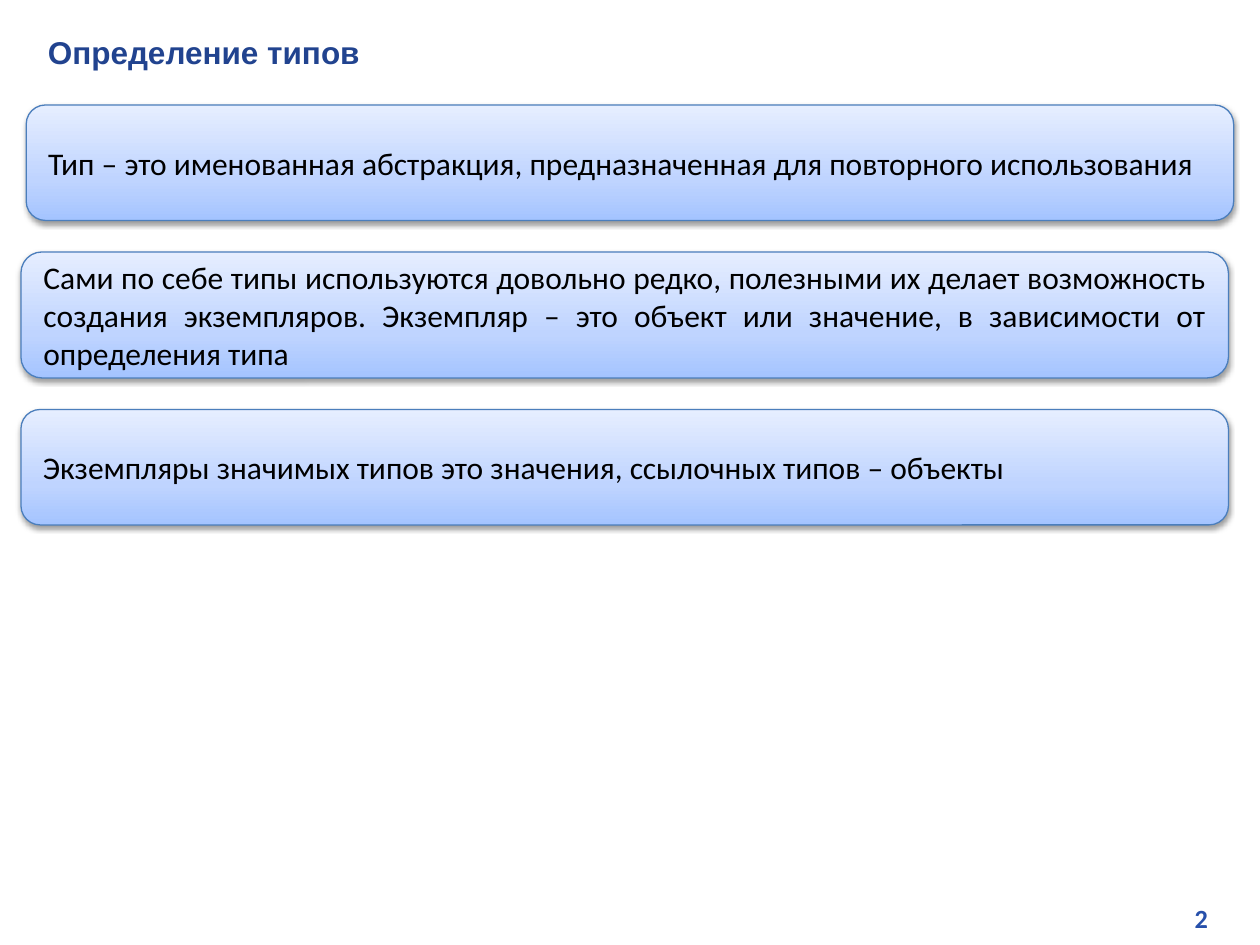
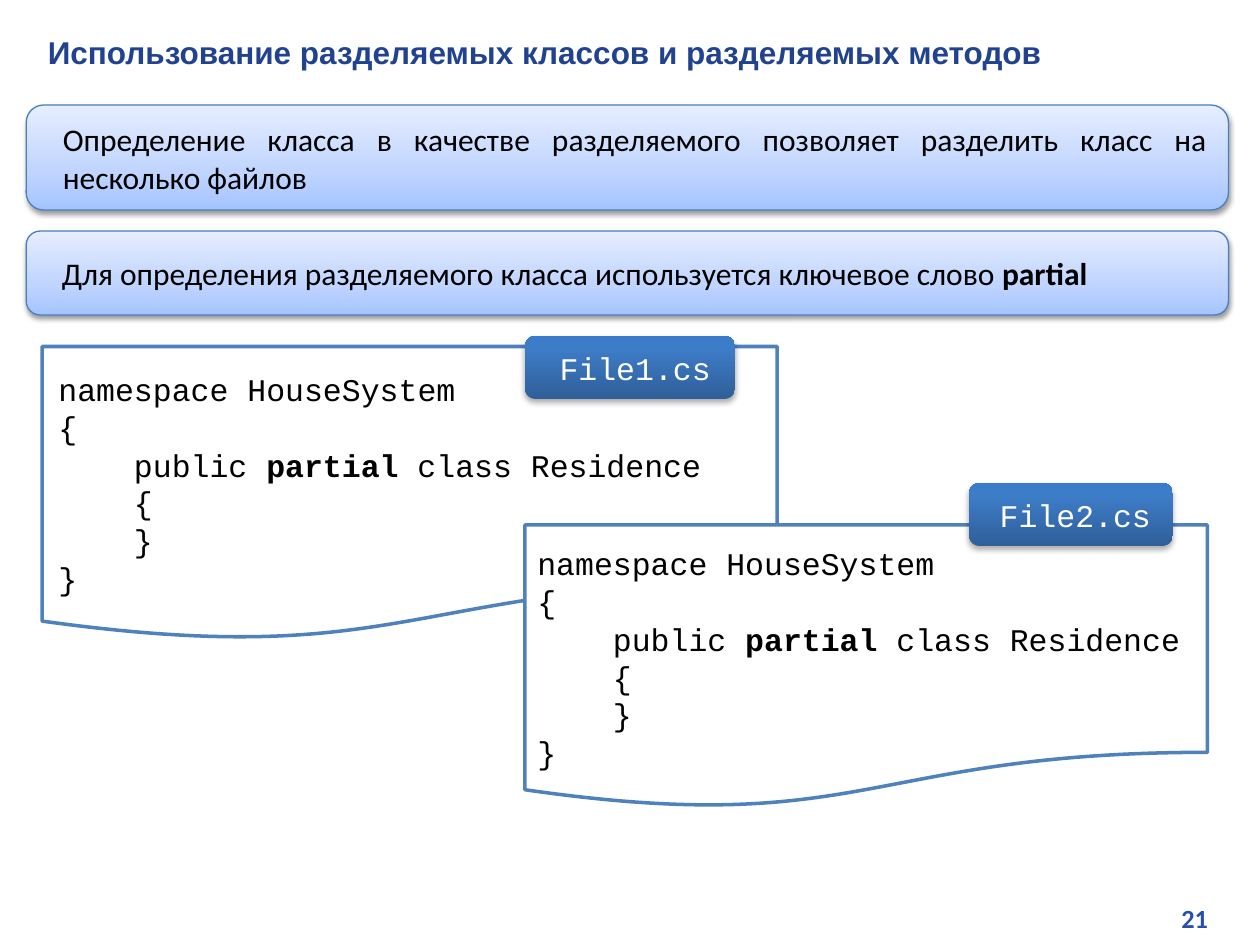
"""Builds two slides on type definitions and partial classes."""
from dataclasses import dataclass

from lxml import etree
from pptx import Presentation
from pptx.dml.color import RGBColor
from pptx.enum.shapes import MSO_SHAPE
from pptx.enum.text import MSO_ANCHOR, PP_ALIGN
from pptx.oxml.ns import qn
from pptx.util import Inches, Pt

ROUNDED, DOCUMENT = MSO_SHAPE.ROUNDED_RECTANGLE, MSO_SHAPE.FLOWCHART_DOCUMENT
MIDDLE, TOP = MSO_ANCHOR.MIDDLE, MSO_ANCHOR.TOP
LEFT, RIGHT, JUSTIFY = PP_ALIGN.LEFT, PP_ALIGN.RIGHT, PP_ALIGN.JUSTIFY


@dataclass(frozen=True)
class Theme:
    """Colours, fonts, type sizes and effects shared by the slides."""
    title: str = "21438F"
    number: str = "2750AB"
    ink: str = "000000"
    paper: str = "FFFFFF"
    card_line: str = "4B7EBC"
    file_line: str = "4F81BD"
    card_stops: tuple = ((0, "A4C4FF"), (35, "BFD4FF"), (100, "E6EEFF"))
    tab_stops: tuple = ((0, "2F5F99"), (80, "3D7CC7"), (100, "3A7CCB"))
    card_shadow: tuple = (38, 3.1, 1.6)
    tab_shadow: tuple = (32, 3.5, 2.2)
    head_font: str = "Arial"
    body_font: str = "Calibri"
    code_font: str = "Courier New"
    size: int = 18
    number_size: int = 15
    inset: float = 0.13
    text_indent: float = 0.12
    code_indent: float = 0.6
    code_line: float = 0.3


THEME = Theme()
COLUMNS, ROWS, CELL = 120, 90, 1 / 12
TITLE_AREA = (3, 2.4, 114.5, 4.8)
NUMBER_AREA = (91.2, 85.2, 25.4, 4.6)

CODE = [
    (0, ["namespace HouseSystem"]),
    (0, ["{"]),
    (1, ["public ", "*partial", " class Residence"]),
    (1, ["{"]),
    (1, ["}"]),
    (0, ["}"]),
]

PAGES = [
    {
        "number": "2",
        "title": "Определение типов",
        "card_indent": 0,
        "cards": [
            ((2.5, 10, 115, 11), JUSTIFY, [
                "Тип – это именованная абстракция, предназначенная для повторного использования"]),
            ((2, 24, 115, 12), JUSTIFY, [
                "Сами по себе типы используются довольно редко, полезными их делает "
                "возможность создания экземпляров. Экземпляр – это объект или значение, "
                "в зависимости от определения типа"]),
            ((2, 39, 115, 11), LEFT, [
                "Экземпляры значимых типов это значения, ссылочных типов – объекты"]),
        ],
        "files": [],
    },
    {
        "number": "21",
        "title": "Использование разделяемых классов и разделяемых методов",
        "card_indent": THEME.text_indent,
        "cards": [
            ((2.5, 10, 114.5, 10), JUSTIFY, [
                "Определение класса в качестве разделяемого позволяет разделить класс "
                "на несколько файлов"]),
            ((2.5, 22, 114.5, 8), JUSTIFY, [
                "Для определения разделяемого класса используется ключевое слово ",
                "*partial"]),
        ],
        "files": [
            ("File1.cs", (4, 33, 70, 28), (50, 32, 20, 6), THEME.inset),
            ("File2.cs", (50, 50, 65, 27), (92.3, 46, 19.4, 6), 0.1),
        ],
    },
]


def place(area):
    """Turns grid units into lengths."""
    return [Inches(units * CELL) for units in area]


def write(box, lines, font, color, size=THEME.size, bold=False, align=LEFT,
          anchor=TOP, inset=THEME.inset, drop=0):
    """Writes (indent, spans) lines; a leading asterisk makes a span bold."""
    frame = box.text_frame
    frame.word_wrap = True
    frame.vertical_anchor = anchor
    frame.margin_left = frame.margin_right = Inches(inset)
    frame.margin_bottom = Inches(inset / 2)
    frame.margin_top = Inches(inset / 2 + drop)
    for index, (indent, spans) in enumerate(lines):
        para = frame.add_paragraph() if index else frame.paragraphs[0]
        para.alignment = align
        para.font.name, para.font.size, para.font.bold = font, Pt(size), bold
        para.font.color.rgb = RGBColor.from_string(color)
        if indent:
            properties = para._p.get_or_add_pPr()
            properties.set("marL", str(Inches(indent)))
            properties.set("indent", "0")
        for text in spans:
            span = para.add_run()
            span.text = text.removeprefix("*")
            span.font.name, span.font.size = font, Pt(size)
            span.font.color.rgb = RGBColor.from_string(color)
            span.font.bold = bold or text.startswith("*")


def add_color(parent, color):
    """Adds an RGB colour element."""
    return etree.SubElement(parent, qn("a:srgbClr"), val=color)


def add_gradient(shape, stops):
    """Fills the shape with a gradient running from bottom to top."""
    shape.fill.background()
    properties = shape._element.spPr
    gradient = etree.Element(qn("a:gradFill"), rotWithShape="1")
    stop_list = etree.SubElement(gradient, qn("a:gsLst"))
    for percent, color in stops:
        add_color(etree.SubElement(stop_list, qn("a:gs"), pos=str(percent * 1000)), color)
    etree.SubElement(gradient, qn("a:lin"), ang=str(270 * 60000), scaled="0")
    properties.replace(properties.find(qn("a:noFill")), gradient)


def add_shadow(shape, opacity, blur, distance):
    """Adds a black shadow that falls straight down."""
    effects = shape._element.spPr.find(qn("a:effectLst"))
    shadow = etree.SubElement(
        effects, qn("a:outerShdw"), blurRad=str(Pt(blur)), dist=str(Pt(distance)),
        dir=str(90 * 60000), rotWithShape="0")
    etree.SubElement(add_color(shadow, THEME.ink), qn("a:alpha"), val=str(opacity * 1000))


def add_panel(page, kind, area, line=None, width=0, stops=None, shadow=None):
    """Adds a preset shape with its fill, outline and shadow."""
    shape = page.shapes.add_shape(kind, *place(area))
    shape.shadow.inherit = False
    if stops:
        add_gradient(shape, stops)
    else:
        shape.fill.solid()
        shape.fill.fore_color.rgb = RGBColor.from_string(THEME.paper)
    if line:
        shape.line.color.rgb = RGBColor.from_string(line)
        shape.line.width = Pt(width)
    else:
        shape.line.fill.background()
    if shadow:
        add_shadow(shape, *shadow)
    return shape


def add_card(page, area, align, spans, indent):
    """Adds a pale rounded card with a statement."""
    card = add_panel(page, ROUNDED, area, THEME.card_line, 0.75,
                     THEME.card_stops, THEME.card_shadow)
    write(card, [(indent, spans)], THEME.body_font, THEME.ink, align=align, anchor=MIDDLE)


def add_file(page, name, sheet_area, tab_area, inset):
    """Adds a code sheet and the tab with its file name."""
    sheet = add_panel(page, DOCUMENT, sheet_area, THEME.file_line, 2)
    lines = [(level * THEME.code_indent, spans) for level, spans in CODE]
    write(sheet, lines, THEME.code_font, THEME.ink, anchor=MIDDLE, inset=inset,
          drop=THEME.code_line)
    tab = add_panel(page, ROUNDED, tab_area, stops=THEME.tab_stops, shadow=THEME.tab_shadow)
    write(tab, [(THEME.text_indent, [name])], THEME.code_font, THEME.paper,
          align=JUSTIFY, anchor=MIDDLE, inset=inset)


def add_page(deck, content):
    """Adds one slide with its number, title, cards and files."""
    page = deck.slides.add_slide(deck.slide_layouts[6])
    number = page.shapes.add_textbox(*place(NUMBER_AREA))
    write(number, [(0, [content["number"]])], THEME.body_font, THEME.number,
          size=THEME.number_size, bold=True, align=RIGHT)
    title = page.shapes.add_textbox(*place(TITLE_AREA))
    write(title, [(0, [content["title"]])], THEME.head_font, THEME.title, bold=True)
    for card in content["cards"]:
        add_card(page, *card, content["card_indent"])
    for file in content["files"]:
        add_file(page, *file)


def main():
    """Builds and saves the deck."""
    deck = Presentation()
    deck.slide_width, deck.slide_height = place((COLUMNS, ROWS))
    for content in PAGES:
        add_page(deck, content)
    deck.save("out.pptx")


if __name__ == "__main__":
    main()
